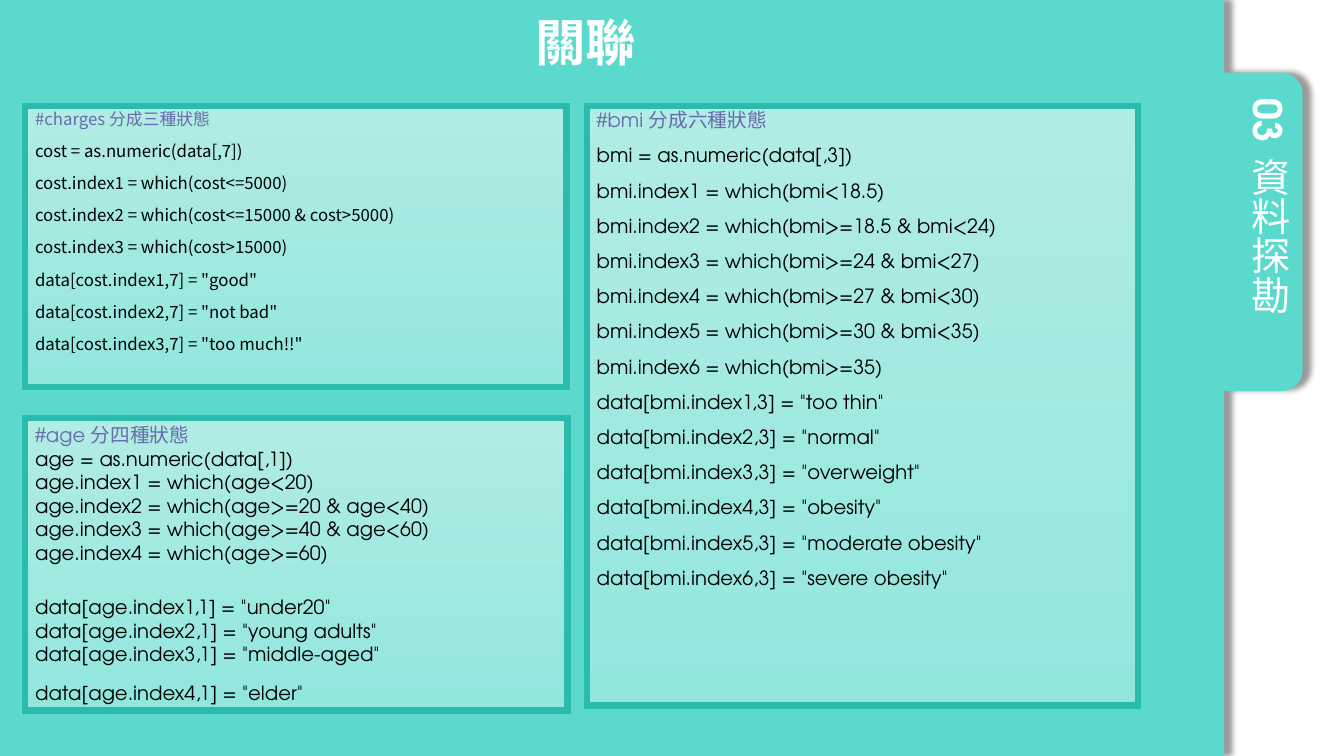
from dataclasses import dataclass
from math import cos, pi, sin

from lxml import etree
from pptx import Presentation
from pptx.dml.color import RGBColor
from pptx.enum.shapes import MSO_SHAPE
from pptx.enum.text import MSO_ANCHOR, PP_ALIGN
from pptx.oxml.ns import qn
from pptx.util import Inches, Pt

RECT = MSO_SHAPE.RECTANGLE
TOP = MSO_ANCHOR.TOP
LEFT, CENTER = PP_ALIGN.LEFT, PP_ALIGN.CENTER


@dataclass(frozen=True)
class Theme:
    back: str = "5AD9CC"
    edge: str = "2BBBAC"
    light: str = "B1ECE5"
    deep: str = "92E7DD"
    head: str = "666CAA"
    code: str = "000000"
    white: str = "FFFFFF"
    sans: str = "Noto Sans CJK SC"
    round: str = "TeX Gyre Adventor"
    title: int = 36
    tab: int = 28
    large: int = 14
    small: int = 12


@dataclass(frozen=True)
class Box:
    x: float
    y: float
    w: float
    h: float

    def place(self) -> list:
        return [Inches(v) for v in (self.x, self.y, self.w, self.h)]


@dataclass(frozen=True)
class Label:
    box: Box
    text: str
    size: int
    font: str
    bold: bool = False
    align: PP_ALIGN = LEFT
    vert: bool = False


@dataclass(frozen=True)
class Panel:
    box: Box
    head: str
    code: list
    size: int
    font: str
    line: float = 0.9
    gap: float = 10


THEME = Theme()

LABELS = [
    Label(Box(12.16, 1.46, 0.66, 2.38), "資料探勘", THEME.tab, THEME.sans, vert=True),
    Label(Box(12.16, 0.87, 0.66, 0.59), "03", THEME.tab, THEME.round, True, vert=True),
    Label(Box(0.34, 0.13, 10.94, 1.03), "關聯", THEME.title, THEME.round, True, CENTER),
]

COST = Panel(Box(0.25, 1.05, 5.37, 2.79), "#charges 分成三種狀態", [
    'cost = as.numeric(data[,7])',
    'cost.index1 = which(cost<=5000)',
    'cost.index2 = which(cost<=15000 & cost>5000)',
    'cost.index3 = which(cost>15000)',
    'data[cost.index1,7] = "good"',
    'data[cost.index2,7] = "not bad"',
    'data[cost.index3,7] = "too much!!"',
], THEME.small, THEME.sans)

BMI = Panel(Box(5.82, 1.05, 5.47, 5.95), "#bmi 分成六種狀態", [
    'bmi = as.numeric(data[,3])',
    'bmi.index1 = which(bmi<18.5)',
    'bmi.index2 = which(bmi>=18.5 & bmi<24)',
    'bmi.index3 = which(bmi>=24 & bmi<27)',
    'bmi.index4 = which(bmi>=27 & bmi<30)',
    'bmi.index5 = which(bmi>=30 & bmi<35)',
    'bmi.index6 = which(bmi>=35)',
    'data[bmi.index1,3] = "too thin"',
    'data[bmi.index2,3] = "normal"',
    'data[bmi.index3,3] = "overweight"',
    'data[bmi.index4,3] = "obesity"',
    'data[bmi.index5,3] = "moderate obesity"',
    'data[bmi.index6,3] = "severe obesity"',
], THEME.large, THEME.round)

AGE = Panel(Box(0.25, 4.15, 5.38, 2.9), "#age 分四種狀態", [
    'age = as.numeric(data[,1])',
    'age.index1 = which(age<20)',
    'age.index2 = which(age>=20 & age<40)',
    'age.index3 = which(age>=40 & age<60)',
    'age.index4 = which(age>=60)',
    'data[age.index1,1] = "under20"',
    'data[age.index2,1] = "young adults"',
    'data[age.index3,1] = "middle-aged"',
    'data[age.index4,1] = "elder"',
], THEME.large, THEME.round, 1.0, 0)


def rgb(color: str) -> RGBColor:
    return RGBColor.from_string(color)


def write(para, text: str, *, size: int, font: str, color: str, bold: bool = False,
          align: PP_ALIGN = LEFT, line: float = 0.9, gap: float = 10) -> None:
    para.alignment, para.line_spacing, para.space_before = align, line, Pt(gap)
    run = para.add_run()
    run.text = text
    run.font.size, run.font.name, run.font.bold = Pt(size), font, bold
    run.font.color.rgb = rgb(color)
    # East Asian glyphs
    east = etree.Element(qn("a:ea"), typeface=THEME.sans)
    run.font._element.find(qn("a:latin")).addnext(east)


def shade(shape) -> None:
    """Soft shadow to the right."""
    effects = etree.SubElement(shape.element.spPr, qn("a:effectLst"))
    outer = etree.SubElement(effects, qn("a:outerShdw"), blurRad=str(Pt(4)),
                             dist=str(Pt(6)), dir="0", algn="l", rotWithShape="0")
    black = etree.SubElement(outer, qn("a:srgbClr"), val=THEME.code)
    etree.SubElement(black, qn("a:alpha"), val="40000")


def draw_back(slide) -> None:
    """Page with a rounded tab on its right side."""
    page, tab, top, low, rad, steps = 12.14, 12.92, 0.72, 3.88, 0.21, 12
    turns = [i * pi / 2 / steps for i in range(steps + 1)]
    upper = [(tab - rad + rad * sin(t), top + rad - rad * cos(t)) for t in turns]
    lower = [(tab - rad + rad * cos(t), low - rad + rad * sin(t)) for t in turns]
    points = [(page, 0), (page, top), *upper, *lower, (page, low), (page, 7.5), (0, 7.5)]
    form = slide.shapes.build_freeform(0, 0, scale=Inches(1) / 1000)
    form.add_line_segments([(x * 1000, y * 1000) for x, y in points], close=True)
    shape = form.convert_to_shape()
    shape.fill.solid()
    shape.fill.fore_color.rgb = rgb(THEME.back)
    shape.line.fill.background()
    shade(shape)


def draw_label(slide, label: Label) -> None:
    shape = slide.shapes.add_textbox(*label.box.place())
    frame = shape.text_frame
    frame.word_wrap = True
    if label.vert:
        # Margins turn with the text: left is the upper end, top the right side
        shape.element.txBody.bodyPr.set("vert", "eaVert")
        frame.margin_left = frame.margin_right = Inches(0.05)
        frame.margin_top, frame.margin_bottom = Inches(0.11), 0
    write(frame.paragraphs[0], label.text, size=label.size, font=label.font,
          color=THEME.white, bold=label.bold, align=label.align)


def draw_panel(slide, panel: Panel) -> None:
    shape = slide.shapes.add_shape(RECT, *panel.box.place())
    shape.shadow.inherit = False
    shape.fill.gradient()
    shape.fill.gradient_angle = 270
    for stop, color in zip(shape.fill.gradient_stops, (THEME.light, THEME.deep)):
        stop.color.rgb = rgb(color)
    shape.line.color.rgb = rgb(THEME.edge)
    shape.line.width = Pt(4.5)
    # Square corners
    etree.SubElement(shape.element.spPr.find(qn("a:ln")), qn("a:miter"), lim="800000")
    frame = shape.text_frame
    frame.word_wrap, frame.vertical_anchor = True, TOP
    for i, text in enumerate([panel.head, *panel.code]):
        para = frame.add_paragraph() if i else frame.paragraphs[0]
        write(para, text, size=panel.size, font=panel.font, line=panel.line,
              gap=panel.gap, color=THEME.code if i else THEME.head)


def main() -> None:
    deck = Presentation()
    deck.slide_width, deck.slide_height = Inches(13.33), Inches(7.5)
    slide = deck.slides.add_slide(deck.slide_layouts[6])
    draw_back(slide)
    for label in LABELS:
        draw_label(slide, label)
    for panel in (COST, BMI, AGE):
        draw_panel(slide, panel)

    # Wider gaps before the age groups and the last line
    paras = slide.shapes[-1].text_frame.paragraphs
    paras[6].space_before = Pt(22)
    paras[-1].space_before, paras[-1].line_spacing = Pt(6), 1.3
    deck.save("out.pptx")


if __name__ == "__main__":
    main()
